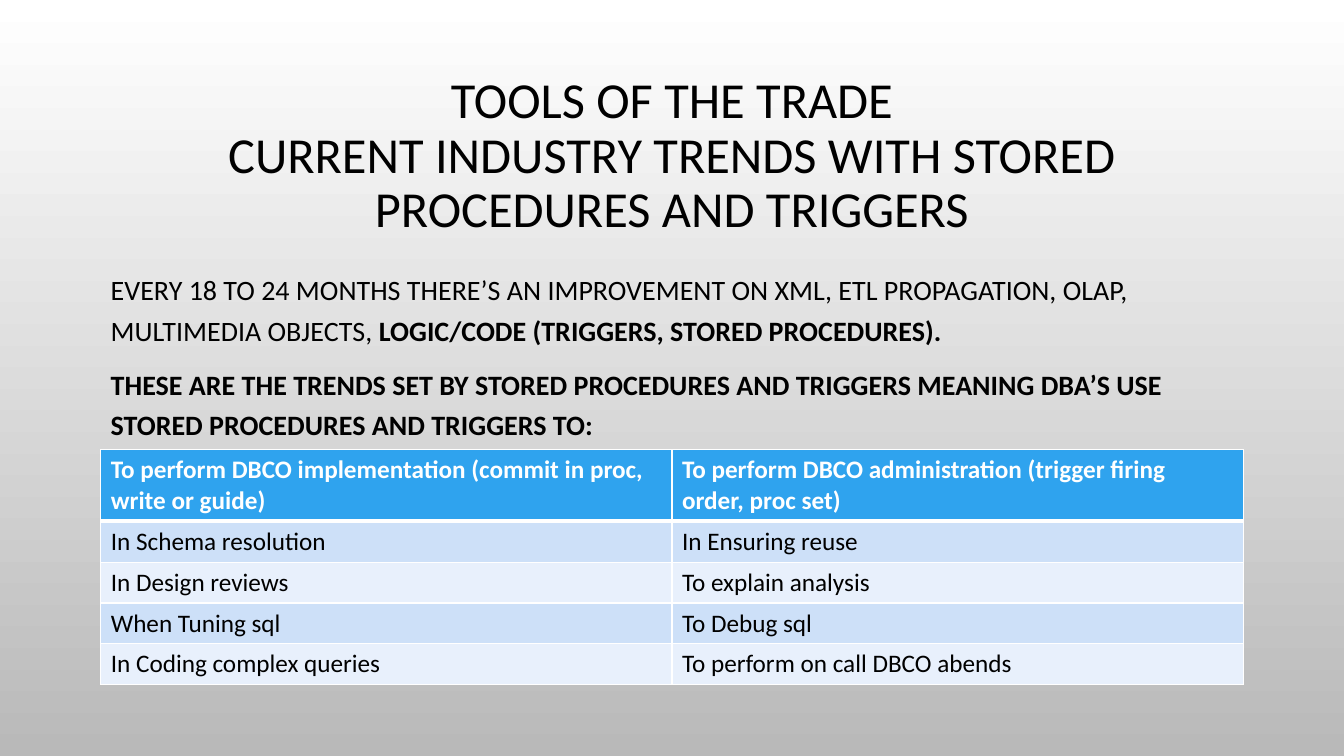
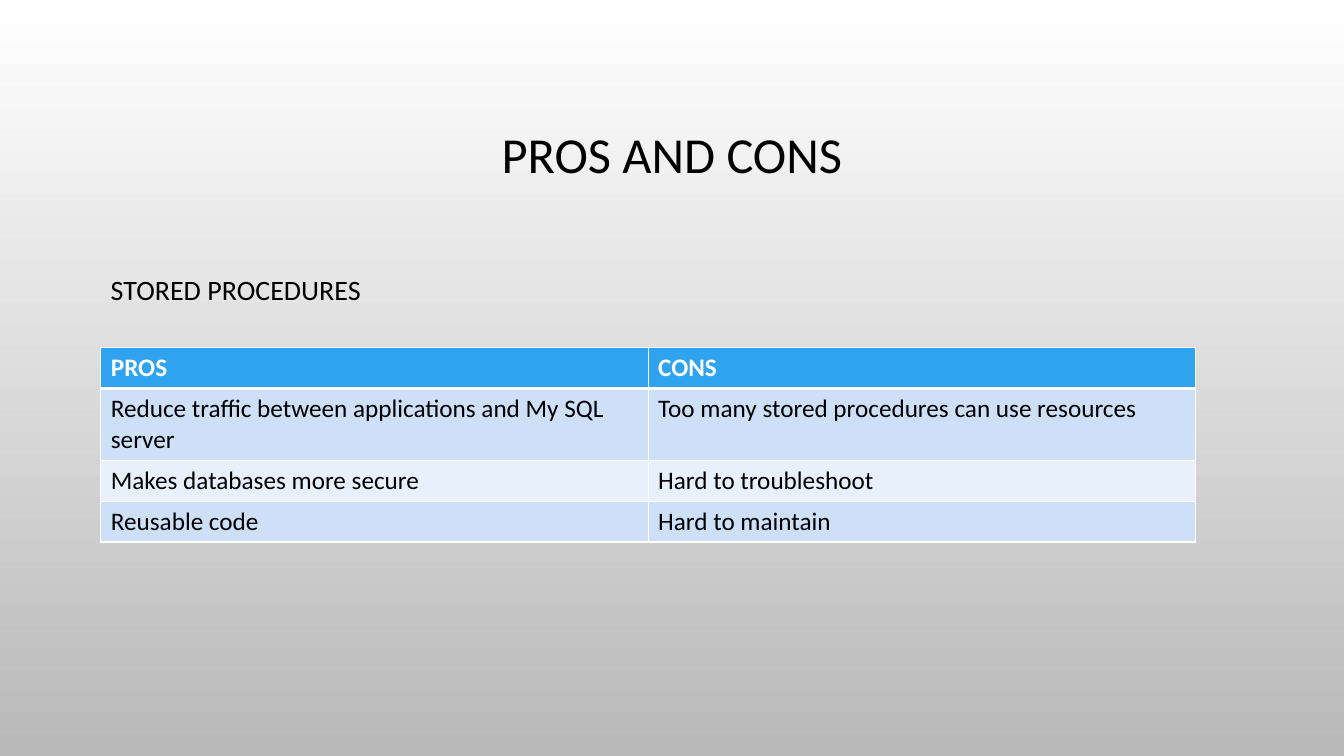
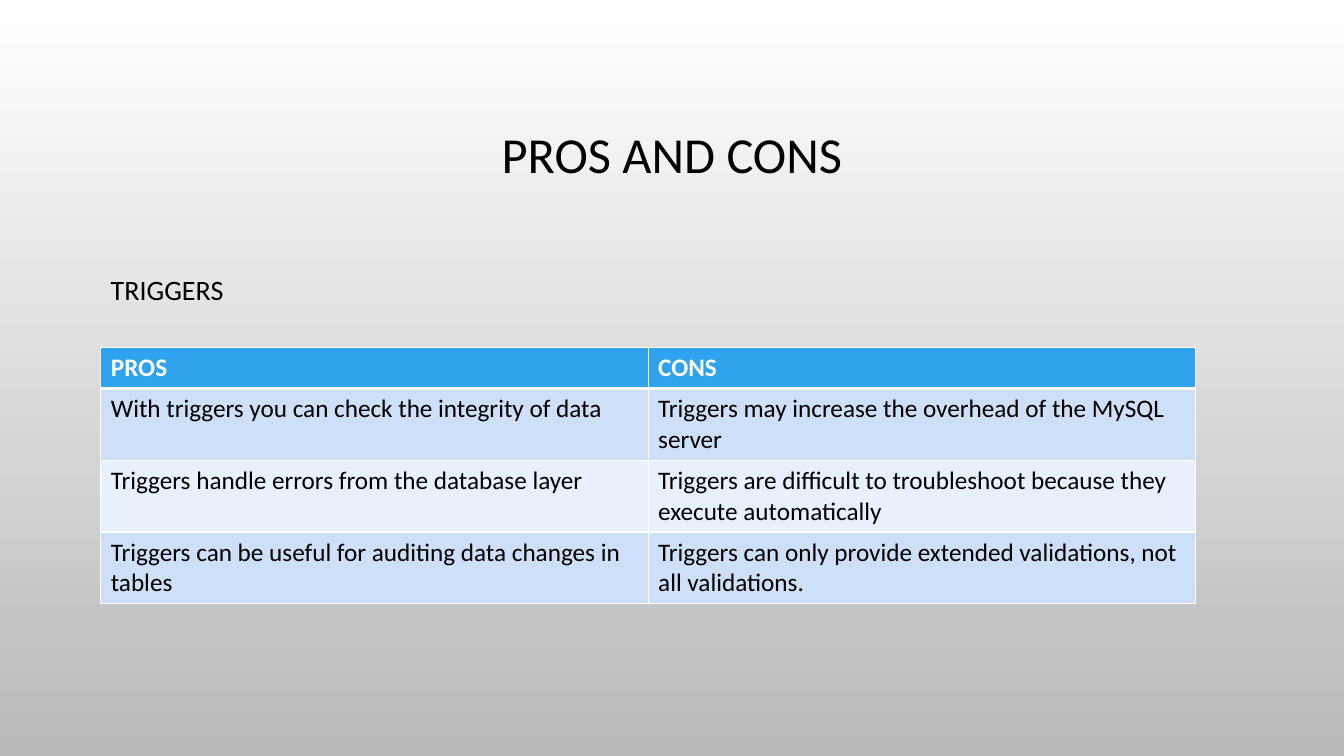
"""Build three slides on trends, pros and cons of stored procedures and triggers."""

from dataclasses import dataclass

from lxml.etree import SubElement
from pptx import Presentation
from pptx.dml.color import RGBColor
from pptx.enum.text import MSO_ANCHOR, MSO_AUTO_SIZE, PP_ALIGN
from pptx.oxml.ns import qn
from pptx.presentation import Presentation as Deck
from pptx.slide import Slide
from pptx.table import _Cell as Cell
from pptx.text.text import _Run as Run
from pptx.util import Inches, Length, Pt

SLIDE_WIDTH = Inches(13.33)
SLIDE_HEIGHT = Inches(7.5)
FONT = "Calibri"
TITLE_SIZE, INTRO_SIZE, CELL_SIZE = 36, 20, 18
LINE_HEIGHT, CELL_PADDING = 22, 7.2
THIN_RULE, HEADER_RULE = 1, 3

BLACK = RGBColor(0x00, 0x00, 0x00)
WHITE = RGBColor(0xFF, 0xFF, 0xFF)
BACKDROP_GREY = RGBColor(0xB9, 0xB9, 0xB9)
HEADER_BLUE = RGBColor(0x2F, 0xA3, 0xEE)
BAND_BLUES = (RGBColor(0xE8, 0xF0, 0xFC), RGBColor(0xCD, 0xE0, 0xF8))


@dataclass(frozen=True)
class Area:
    """Position and size in percent of the slide."""

    left: float
    top: float
    width: float
    height: float = 0

    def box(self) -> tuple[Length, Length, Length, Length]:
        """Return left, top, width and height as lengths."""
        return (
            Length(SLIDE_WIDTH * self.left / 100),
            Length(SLIDE_HEIGHT * self.top / 100),
            Length(SLIDE_WIDTH * self.width / 100),
            Length(SLIDE_HEIGHT * self.height / 100),
        )


@dataclass(frozen=True)
class Phrase:
    """A stretch of introductory text."""

    text: str
    bold: bool = False


@dataclass(frozen=True)
class Row:
    """A table row and the number of text lines it holds."""

    left: str
    right: str
    lines: int = 1


@dataclass(frozen=True)
class Topic:
    """The content of one slide."""

    title: str
    intro: tuple[tuple[Phrase, ...], ...]
    table_area: Area
    rows: tuple[Row, ...]


TITLE_AREA = Area(7.5, 9.07, 85, 23.33)
INTRO_AREA = Area(7.5, 34.53, 85, 49.87)
TRENDS_AREA = Area(7.5, 59.47, 85)
PROS_CONS_AREA = Area(7.5, 46, 81.45)
PROS_CONS_TITLE = "PROS AND CONS"
PROS_CONS_HEADER = Row("PROS", "CONS")

TOPICS = (
    Topic(
        "TOOLS OF THE TRADE\vCURRENT INDUSTRY TRENDS WITH STORED PROCEDURES AND TRIGGERS",
        (
            (
                Phrase("EVERY 18 TO 24 MONTHS THERE’S AN IMPROVEMENT ON XML, ETL PROPAGATION, "
                       "OLAP, MULTIMEDIA OBJECTS, "),
                Phrase("LOGIC/CODE (TRIGGERS, STORED PROCEDURES).", True),
            ),
            (
                Phrase("THESE ARE THE TRENDS SET BY STORED PROCEDURES AND TRIGGERS MEANING "
                       "DBA’S USE STORED PROCEDURES AND TRIGGERS TO:", True),
            ),
        ),
        TRENDS_AREA,
        (
            Row("To perform DBCO implementation (commit in proc, write or guide)",
                "To perform DBCO administration (trigger firing order, proc set)", 2),
            Row("In Schema resolution", "In Ensuring reuse"),
            Row("In Design reviews", "To explain analysis"),
            Row("When Tuning sql", "To Debug sql"),
            Row("In Coding complex queries", "To perform on call DBCO abends"),
        ),
    ),
    Topic(
        PROS_CONS_TITLE,
        ((Phrase("STORED PROCEDURES"),),),
        PROS_CONS_AREA,
        (
            PROS_CONS_HEADER,
            Row("Reduce traffic between applications and My SQL server",
                "Too many stored procedures can use resources", 2),
            Row("Makes databases more secure", "Hard to troubleshoot"),
            Row("Reusable code", "Hard to maintain"),
        ),
    ),
    Topic(
        PROS_CONS_TITLE,
        ((Phrase("TRIGGERS"),),),
        PROS_CONS_AREA,
        (
            PROS_CONS_HEADER,
            Row("With triggers you can check the integrity of data",
                "Triggers may increase the overhead of the MySQL server", 2),
            Row("Triggers handle errors from the database layer",
                "Triggers are difficult to troubleshoot because they execute automatically", 2),
            Row("Triggers can be useful for auditing data changes in tables",
                "Triggers can only provide extended validations, not all validations.", 2),
        ),
    ),
)


def style_run(run: Run, size: float, color: RGBColor = BLACK, bold: bool = False) -> None:
    """Give a run its font, size, colour and weight."""
    run.font.name = FONT
    run.font.size = Pt(size)
    run.font.bold = bold
    run.font.color.rgb = color


def style_master(deck: Deck) -> None:
    """Set the backdrop and title size that all slides inherit."""
    master = deck.slide_master
    backdrop = master.background.fill
    backdrop.gradient()
    backdrop.gradient_angle = 270
    for stop, color in zip(backdrop.gradient_stops, (WHITE, BACKDROP_GREY)):
        stop.color.rgb = color
    for defaults in master.element.iterfind(f".//{qn('p:titleStyle')}//{qn('a:defRPr')}"):
        defaults.set("sz", str(TITLE_SIZE * 100))


def add_title(slide: Slide, text: str) -> None:
    """Place and format the title placeholder."""
    title = slide.shapes.title
    title.left, title.top, title.width, title.height = TITLE_AREA.box()
    frame = title.text_frame
    frame.auto_size = MSO_AUTO_SIZE.NONE
    frame.word_wrap = True
    frame.vertical_anchor = MSO_ANCHOR.MIDDLE
    heading = frame.paragraphs[0]
    heading.text = text
    heading.alignment = PP_ALIGN.CENTER
    heading.line_spacing = 0.9
    for run in heading.runs:
        style_run(run, TITLE_SIZE)


def add_intro(slide: Slide, intro: tuple[tuple[Phrase, ...], ...]) -> None:
    """Write the paragraphs above the table."""
    frame = slide.shapes.add_textbox(*INTRO_AREA.box()).text_frame
    frame.word_wrap = True
    for index, phrases in enumerate(intro):
        paragraph = frame.add_paragraph() if index else frame.paragraphs[0]
        paragraph.line_spacing = 1.2
        if index:
            paragraph.space_before = Pt(10)
        for phrase in phrases:
            run = paragraph.add_run()
            run.text = phrase.text
            style_run(run, INTRO_SIZE, bold=phrase.bold)


def add_borders(cell: Cell, row_index: int) -> None:
    """Draw white cell borders, thicker below the header row."""
    properties = cell._tc.get_or_add_tcPr()
    widths = {
        "lnL": THIN_RULE,
        "lnR": THIN_RULE,
        "lnT": HEADER_RULE if row_index == 1 else THIN_RULE,
        "lnB": HEADER_RULE if row_index == 0 else THIN_RULE,
    }
    for side, width in widths.items():
        border = SubElement(properties, qn(f"a:{side}"), w=str(Pt(width)))
        paint = SubElement(border, qn("a:solidFill"))
        SubElement(paint, qn("a:srgbClr"), val=str(WHITE))


def add_comparison(slide: Slide, area: Area, rows: tuple[Row, ...]) -> None:
    """Add the two-column table with a header and banded rows."""
    heights = [Pt(CELL_PADDING + LINE_HEIGHT * row.lines) for row in rows]
    left, top, width, _ = area.box()
    table = slide.shapes.add_table(len(rows), 2, left, top, width, Length(sum(heights))).table
    for row_index, (row, height) in enumerate(zip(rows, heights)):
        table.rows[row_index].height = height
        is_header = row_index == 0
        for cell, text in zip(table.rows[row_index].cells, (row.left, row.right)):
            add_borders(cell, row_index)
            cell.fill.solid()
            cell.fill.fore_color.rgb = HEADER_BLUE if is_header else BAND_BLUES[row_index % 2]
            cell.text_frame.text = text
            for run in cell.text_frame.paragraphs[0].runs:
                style_run(run, CELL_SIZE, WHITE if is_header else BLACK, is_header)


def main() -> None:
    """Build and save the presentation."""
    deck = Presentation()
    deck.slide_width = SLIDE_WIDTH
    deck.slide_height = SLIDE_HEIGHT
    style_master(deck)
    title_only = deck.slide_layouts.get_by_name("Title Only")
    for topic in TOPICS:
        slide = deck.slides.add_slide(title_only)
        add_title(slide, topic.title)
        add_intro(slide, topic.intro)
        add_comparison(slide, topic.table_area, topic.rows)
    deck.save("out.pptx")


if __name__ == "__main__":
    main()
